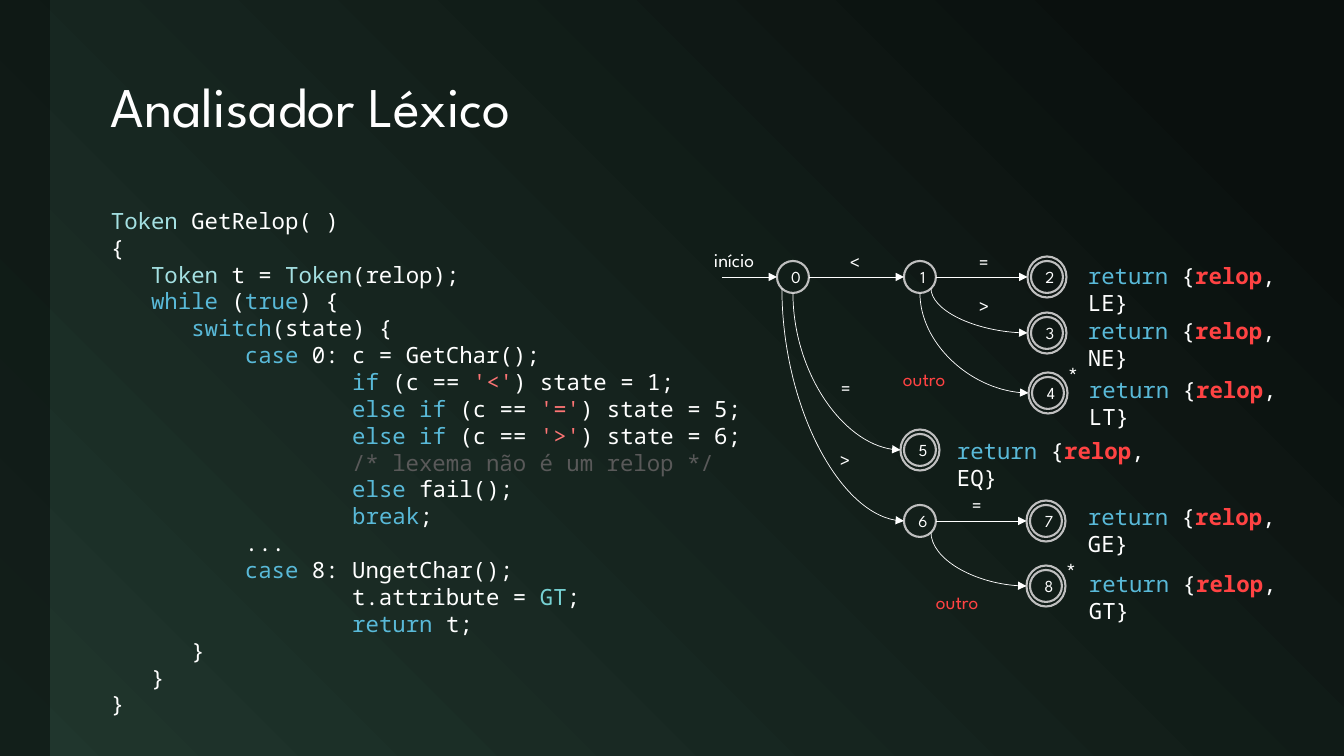
import pptx
import pptx.dml.color
import pptx.enum.dml
import pptx.enum.shapes
import pptx.enum.text
import pptx.oxml
import pptx.oxml.ns
import pptx.util

RGB = pptx.dml.color.RGBColor
WHITE = RGB(0xFF, 0xFF, 0xFF)
DARK = RGB(0x0A, 0x10, 0x0E)
GREEN = RGB(0x20, 0x36, 0x2D)
GREY = RGB(0xBF, 0xBF, 0xBF)
TYPE = RGB(0xA4, 0xE0, 0xE2)
KEYWORD = RGB(0x59, 0xB9, 0xD8)
LITERAL = RGB(0xFF, 0x75, 0x75)
COMMENT = RGB(0x59, 0x59, 0x59)
CONSTANT = RGB(0x77, 0xD1, 0xD3)
RED = RGB(0xFF, 0x43, 0x43)
SANS = "League Spartan"
MONO = "Noto Sans Mono"
SCALE = 12192000 / 1344
RADIUS, RING_W, RING_H = 16, 39, 41

TITLE = "Analisador Léxico"
CODE = [
    [("Token ", TYPE), ("GetRelop( )", WHITE)],
    [("{", WHITE)],
    [("   ", WHITE), ("Token", TYPE), (" t = ", WHITE), ("Token", TYPE), ("(relop);", WHITE)],
    [("   ", WHITE), ("while", KEYWORD), (" (", WHITE), ("true", KEYWORD), (") {", WHITE)],
    [("      ", WHITE), ("switch", KEYWORD), ("(state) {", WHITE)],
    [("          ", WHITE), ("case", KEYWORD), (" 0: c = GetChar();", WHITE)],
    [("                  ", WHITE), ("if", KEYWORD), (" (c == ", WHITE), ("'<'", LITERAL), (") state = 1;", WHITE)],
    [("                  ", WHITE), ("else if ", KEYWORD), ("(c == ", WHITE), ("'='", LITERAL), (") state = 5;", WHITE)],
    [("                  ", WHITE), ("else if ", KEYWORD), ("(c == ", WHITE), ("'>'", LITERAL), (") state = 6;", WHITE)],
    [("                  /* lexema não é um relop */", COMMENT)],
    [("                  ", WHITE), ("else ", KEYWORD), ("fail();", WHITE)],
    [("                  ", WHITE), ("break", KEYWORD), (";", WHITE)],
    [("          ...", WHITE)],
    [("          ", WHITE), ("case", KEYWORD), (" 8: UngetChar();", WHITE)],
    [("                  t.attribute = ", WHITE), ("GT", CONSTANT), (";", WHITE)],
    [("                  ", WHITE), ("return", KEYWORD), (" t;", WHITE)],
    [("      }", WHITE)],
    [("   }", WHITE)],
    [("}", WHITE)],
]
STATES = [(793, 277), (920, 277), (1047, 277), (1047, 333), (1048, 393),
          (920, 450), (920, 521), (1046, 521), (1046, 586)]
RETURNS = {2: ("LE", 1078, 257), 3: ("NE", 1078, 312), 4: ("LT", 1079, 371),
           5: ("EQ", 947, 432), 7: ("GE", 1078, 498), 8: ("GT", 1079, 565)}
STRAIGHT_EDGES = [(0, 1), (1, 2), (6, 7)]
CURVED_EDGES = [(1, 3, 11, 11), (1, 4, 0, RADIUS), (0, 5, 0, RADIUS),
                (0, 6, -11, 11), (6, 8, 11, 11)]
LABELS = [
    ("início", 704, 243, 70, 14, WHITE), ("<", 840, 245, 32, 14, WHITE),
    ("=", 969, 245, 32, 14, WHITE), (">", 969, 289, 32, 14, WHITE),
    ("outro", 893, 362, 71, 14, RED), ("=", 831, 371, 32, 14, WHITE),
    (">", 830, 443, 32, 14, WHITE), ("=", 962, 488, 32, 14, WHITE),
    ("outro", 926, 585, 71, 14, RED), ("*", 1056, 551, 31, 18, WHITE),
    ("*", 1058, 355, 31, 18, WHITE),
]


def px(n):
    return pptx.util.Emu(round(n * SCALE))


def add_runs(p, runs, size, font):
    p.font.size = pptx.util.Pt(size)
    p.font.name = font
    for text, color in runs:
        r = p.add_run()
        r.text = text
        r.font.color.rgb = color
        if color == RED and font == MONO:
            r.font.bold = True


def add_text(slide, box, lines, size, font, spacing=None):
    tf = slide.shapes.add_textbox(*map(px, box)).text_frame
    tf.word_wrap = True
    for i, runs in enumerate(lines):
        p = tf.add_paragraph() if i else tf.paragraphs[0]
        if spacing:
            p.line_spacing = spacing
        add_runs(p, runs, size, font)
    return tf


def add_circle(slide, x, y, w, h):
    sp = slide.shapes.add_shape(pptx.enum.shapes.MSO_SHAPE.OVAL,
                                px(x - w / 2), px(y - h / 2), px(w), px(h))
    sp.shadow.inherit = False
    sp.fill.background()
    sp.line.color.rgb = GREY
    sp.line.width = pptx.util.Pt(1.5)
    return sp


def add_state(slide, number, x, y):
    if number in RETURNS:
        add_circle(slide, x, y, RING_W, RING_H)
    tf = add_circle(slide, x, y, 2 * RADIUS, 2 * RADIUS).text_frame
    tf.word_wrap = False
    tf.margin_left, tf.margin_right, tf.margin_top, tf.margin_bottom = px(6), 0, 0, 0
    tf.vertical_anchor = pptx.enum.text.MSO_ANCHOR.MIDDLE
    p = tf.paragraphs[0]
    p.alignment = pptx.enum.text.PP_ALIGN.CENTER
    add_runs(p, [(str(number), WHITE)], 12, SANS)


def add_arrow(slide, kind, points, end):
    c = slide.shapes.add_connector(kind, *map(px, points))
    c.line.color.rgb = WHITE
    c.line.width = pptx.util.Pt(0.5)
    ln = c.line._get_or_add_ln()
    ln.append(pptx.oxml.parse_xml(
        f'<a:{end} {pptx.oxml.ns.nsdecls("a")} type="triangle"/>'))
    c._element.spPr.append(pptx.oxml.parse_xml(
        f'<a:effectLst {pptx.oxml.ns.nsdecls("a")}/>'))
    return c


def left_edge(state):
    return STATES[state][0] - (RING_W / 2 if state in RETURNS else RADIUS)


def add_edges(slide):
    kinds = pptx.enum.shapes.MSO_CONNECTOR
    add_arrow(slide, kinds.STRAIGHT, (722, 277, left_edge(0), 277), "tailEnd")
    for a, b in STRAIGHT_EDGES:
        x, y = STATES[a]
        add_arrow(slide, kinds.STRAIGHT, (x + RADIUS, y, left_edge(b), y), "tailEnd")
    for a, b, dx, dy in CURVED_EDGES:
        x, y = STATES[a]
        points = (left_edge(b), STATES[b][1], x + dx, y + dy)
        c = add_arrow(slide, kinds.CURVE, points, "headEnd")
        c._element.spPr.find(pptx.oxml.ns.qn("a:prstGeom")).set("prst", "curvedConnector2")


def add_background(slide):
    fill = slide.background.fill
    fill.gradient()
    fill.gradient_angle = 225
    for stop, color, position in zip(fill.gradient_stops, (DARK, GREEN), (0.1, 1)):
        stop.color.rgb = color
        stop.position = position
    band = slide.shapes.add_shape(pptx.enum.shapes.MSO_SHAPE.RECTANGLE, 0, 0, px(50), px(756))
    band.shadow.inherit = False
    band.line.fill.background()
    band.fill.solid()
    band.fill.fore_color.rgb = DARK
    srgb = band._element.spPr.find(".//" + pptx.oxml.ns.qn("a:srgbClr"))
    srgb.append(pptx.oxml.parse_xml(
        f'<a:alpha {pptx.oxml.ns.nsdecls("a")} val="60000"/>'))


def main():
    prs = pptx.Presentation()
    prs.slide_width, prs.slide_height = px(1344), px(756)
    slide = prs.slides.add_slide(prs.slide_layouts[6])
    add_background(slide)
    tf = add_text(slide, (101, 42, 1174, 134), [[(TITLE, WHITE)]], 40, SANS, 0.9)
    tf.vertical_anchor = pptx.enum.text.MSO_ANCHOR.MIDDLE
    add_text(slide, (101, 202, 807, 526), CODE, 16, MONO, pptx.util.Pt(19.2))
    for token, x, y in RETURNS.values():
        runs = [("return", KEYWORD), (" {", WHITE), ("relop", RED), (f", {token}}}", WHITE)]
        add_text(slide, (x, y, 243, 37), [runs], 16, MONO, pptx.util.Pt(19.2))
    for number, (x, y) in enumerate(STATES):
        add_state(slide, number, x, y)
    add_edges(slide)
    for text, x, y, w, size, color in LABELS:
        add_text(slide, (x, y, w, 34), [[(text, color)]], size, SANS)
    prs.save("out.pptx")


if __name__ == "__main__":
    main()
